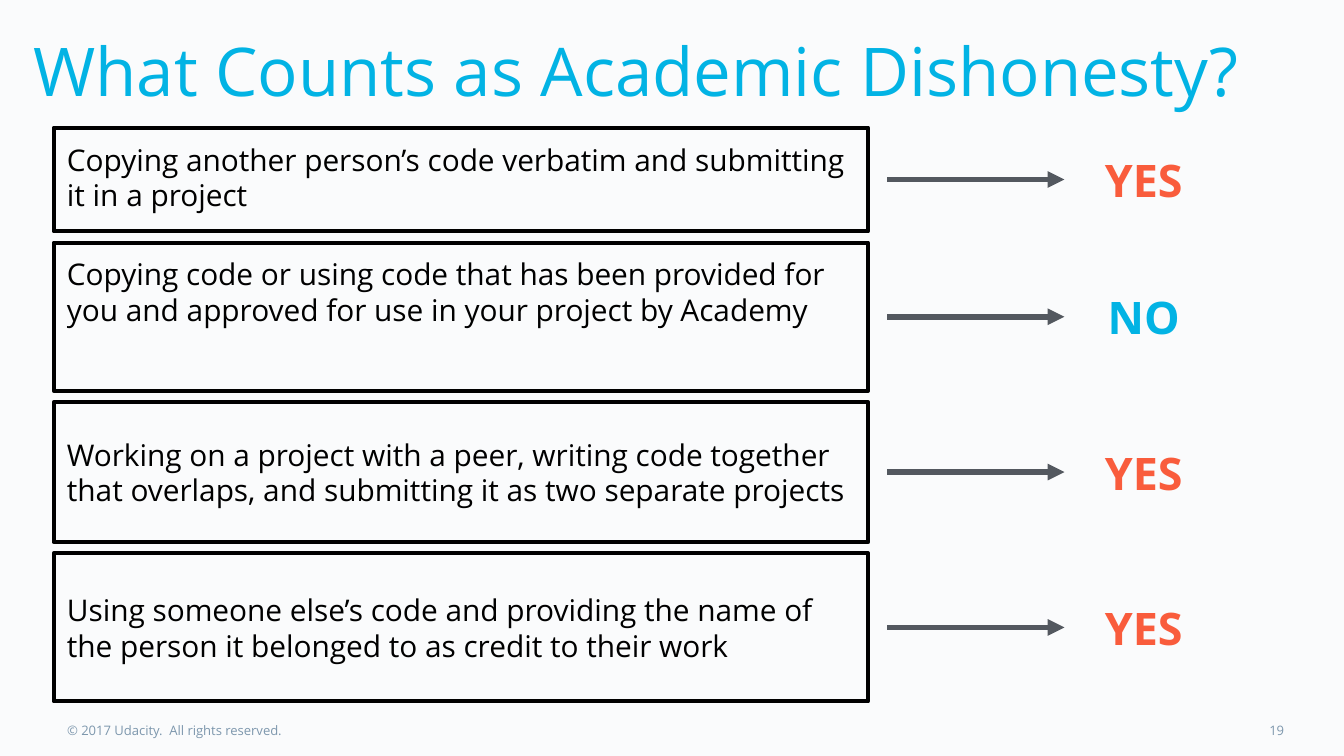
"""Build a slide that sorts four coding practices by academic honesty."""
import pptx
import pptx.util
import pptx.dml.color
import pptx.enum.shapes
import pptx.enum.text
import pptx.oxml
import pptx.oxml.ns

INK, BLUE, RED, GREY, MUTED = "000000", "02B3E4", "F95C3C", "53585F", "7D97AD"
ALIGN = pptx.enum.text.PP_ALIGN
ANCHOR = pptx.enum.text.MSO_ANCHOR

presentation = pptx.Presentation()
presentation.slide_width = pptx.util.Inches(10)
presentation.slide_height = pptx.util.Inches(5.625)
column = presentation.slide_width / 100
row = presentation.slide_height / 100
slide = presentation.slides.add_slide(presentation.slide_layouts[6])


def color(code):
    return pptx.dml.color.RGBColor.from_string(code)


def write(shape, text, size, code, bold=False, align=ALIGN.LEFT,
          anchor=ANCHOR.TOP, inset=0):
    frame = shape.text_frame
    margin = pptx.util.Inches(inset)
    paragraph = frame.paragraphs[0]
    paragraph.text = text
    paragraph.alignment = align
    font = paragraph.runs[0].font
    formats = (
        (frame, {"margin_left": margin, "margin_top": margin, "margin_right": margin,
                 "margin_bottom": margin, "word_wrap": True, "vertical_anchor": anchor}),
        (font, {"name": "Open Sans", "size": pptx.util.Pt(size), "bold": bold}),
    )
    for target, values in formats:
        for name, value in values.items():
            setattr(target, name, value)
    font.color.rgb = color(code)


slide.background.fill.solid()
slide.background.fill.fore_color.rgb = color("FAFBFC")

captions = (
    (2.5, 3.9, 96.4, 11.6, "What Counts as Academic Dishonesty?", 36, BLUE, ALIGN.LEFT),
    (5, 95.6, 43.3, 2.1, "© 2017 Udacity.  All rights reserved.", 7, MUTED, ALIGN.LEFT),
    (93.5, 95.6, 3, 2.1, "19", 7, MUTED, ALIGN.CENTER),
)
for left, top, width, height, text, size, code, align in captions:
    caption = slide.shapes.add_textbox(
        int(left * column), int(top * row), int(width * column), int(height * row))
    write(caption, text, size, code, align=align)

cases = (
    (13.7, ANCHOR.TOP, "YES", RED,
     "Copying another person’s code verbatim and submitting it in a project"),
    (19.6, ANCHOR.TOP, "NO", BLUE,
     "Copying code or using code that has been provided for you and approved "
     "for use in your project by Academy"),
    (18.5, ANCHOR.MIDDLE, "YES", RED,
     "Working on a project with a peer, writing code together that overlaps, "
     "and submitting it as two separate projects"),
    (19.6, ANCHOR.MIDDLE, "YES", RED,
     "Using someone else’s code and providing the name of the person it belonged "
     "to as credit to their work"),
)
gap, answer_height = 1.5, 10.1
top = 16.9
for height, anchor, verdict, code, text in cases:
    middle = top + height / 2
    box = slide.shapes.add_shape(
        pptx.enum.shapes.MSO_SHAPE.RECTANGLE,
        int(4 * column), int(top * row), int(60.6 * column), int(height * row))
    box.shadow.inherit = False
    box.fill.background()
    box.line.color.rgb = color(INK)
    box.line.width = pptx.util.Pt(2.25)
    write(box, text, 16, INK, anchor=anchor, inset=0.1)

    answer = slide.shapes.add_textbox(
        int(79.2 * column), int((middle - answer_height / 2) * row),
        int(11.8 * column), int(answer_height * row))
    write(answer, verdict, 24, code, bold=True, align=ALIGN.CENTER,
          anchor=ANCHOR.MIDDLE, inset=0.1)

    arrow = slide.shapes.add_connector(
        pptx.enum.shapes.MSO_CONNECTOR.STRAIGHT,
        int(66 * column), int(middle * row), int(79.2 * column), int(middle * row))
    arrow.end_connect(answer, 1)
    arrow.line.color.rgb = color(GREY)
    arrow.line.width = pptx.util.Pt(3)
    head = pptx.oxml.parse_xml(f'<a:tailEnd {pptx.oxml.ns.nsdecls("a")} type="triangle"/>')
    arrow.line._get_or_add_ln().append(head)
    arrow._element.spPr.append(
        pptx.oxml.parse_xml(f'<a:effectLst {pptx.oxml.ns.nsdecls("a")}/>'))
    top += height + gap

presentation.save("out.pptx")
